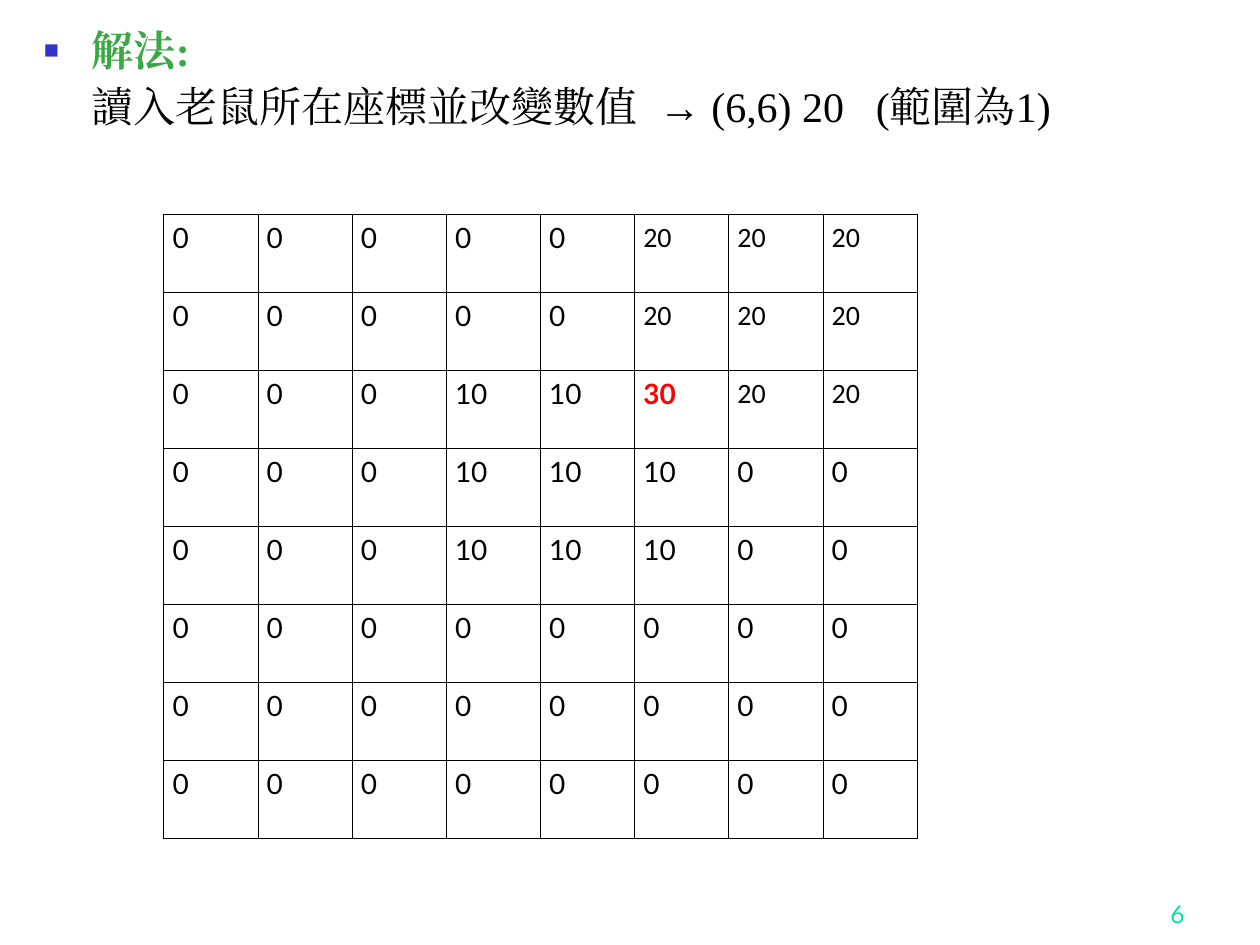
from lxml.etree import SubElement as Sub
from pptx import Presentation
from pptx.dml.color import RGBColor as RGB
from pptx.enum.text import MSO_ANCHOR as ANCHOR, PP_ALIGN as ALIGN
from pptx.oxml.ns import qn
from pptx.util import Pt

COLORS = {
    "heading": "3BA943", "bullet": "3333CC", "text": "000000", "hit": "FF0000",
    "page": "00E4A8", "cell": "FFFFFF", "border": "000000",
}
HEADING = {"size": Pt(24), "name": "Times New Roman", "bold": True}
BODY = {"size": Pt(24), "name": "Times New Roman", "bold": False}
PAGE = {"size": Pt(14), "name": "Lato"}
CELL = {"size": Pt(16), "name": "Lato"}
CELL_BY_VALUE = {
    20: {"size": Pt(16), "name": "Calibri"},
    30: {"size": Pt(16), "name": "Lato", "bold": True},
}

# Text pieces, each with the extra width in points given to its characters
BODY_PIECES = [
    ("讀入老鼠所在座標並改變數值", 0), (" ", 6), ("→ (6,6) 20", 0),
    (" ", 12), ("(範圍為1)", 0),
]

SIZE = 8
RANGE = 1
MICE = [(3, 4, 10), (1, 6, 20)]  # row, column, value
COL_W, ROW_H = 53.82, 44.64
INDENT = 27.36


def add_run(p, text, fmt, color, spacing=0):
    r = p.add_run()
    r.text = text
    for key, value in fmt.items():
        setattr(r.font, key, value)
    r.font.color.rgb = RGB.from_string(COLORS[color])
    rpr = r._r.get_or_add_rPr()
    if spacing:
        rpr.set("spc", str(spacing * 100))
    Sub(rpr, qn("a:ea"), typeface=fmt["name"])


def add_box(s, left, top, width, height, anchor=ANCHOR.TOP):
    tf = s.shapes.add_textbox(Pt(left), Pt(top), Pt(width), Pt(height)).text_frame
    tf.word_wrap = True
    tf.vertical_anchor = anchor
    return tf


def set_indent(p, first_line):
    ppr = p._p.get_or_add_pPr()
    ppr.set("marL", str(Pt(INDENT)))
    ppr.set("indent", str(Pt(first_line)))
    p.line_spacing = 0.9
    return ppr


def add_bullet(ppr):
    Sub(Sub(ppr, qn("a:buClr")), qn("a:srgbClr"), val=COLORS["bullet"])
    Sub(ppr, qn("a:buSzPct"), val="60000")
    Sub(ppr, qn("a:buFont"), typeface="Times New Roman")
    Sub(ppr, qn("a:buChar"), char="■")


def add_solution(s):
    tf = add_box(s, 18, 13.68, 683.28, 501.84)
    p = tf.paragraphs[0]
    add_bullet(set_indent(p, -INDENT))
    add_run(p, "解法:", HEADING, "heading")

    p = tf.add_paragraph()
    set_indent(p, 0)
    p.space_before = Pt(6)
    for text, spacing in BODY_PIECES:
        add_run(p, text, BODY, "text", spacing)


def set_borders(cell):
    tcpr = cell._tc.get_or_add_tcPr()
    for i, side in enumerate(("lnL", "lnR", "lnT", "lnB")):
        ln = tcpr.makeelement(qn(f"a:{side}"), {"w": str(Pt(0.45))})
        Sub(Sub(ln, qn("a:solidFill")), qn("a:srgbClr"), val=COLORS["border"])
        tcpr.insert(i, ln)


def grid_value(row, col):
    """Sum of the values of all mice within range of the cell."""
    return sum(value for r, c, value in MICE
               if max(abs(row - r), abs(col - c)) <= RANGE)


def add_grid(s):
    table = s.shapes.add_table(SIZE, SIZE, Pt(93.6), Pt(122.4),
                               Pt(COL_W * SIZE), Pt(ROW_H * SIZE)).table
    table.first_row = table.horz_banding = False
    for col in table.columns:
        col.width = Pt(COL_W)
    for i, row in enumerate(table.rows):
        row.height = Pt(ROW_H)
        for j, cell in enumerate(row.cells):
            cell.margin_left = cell.margin_right = Pt(5.04)
            cell.margin_top = cell.margin_bottom = Pt(3.6)
            cell.fill.solid()
            cell.fill.fore_color.rgb = RGB.from_string(COLORS["cell"])
            set_borders(cell)
            value = grid_value(i, j)
            add_run(cell.text_frame.paragraphs[0], str(value),
                    CELL_BY_VALUE.get(value, CELL), "hit" if value == 30 else "text")


def add_page_number(s, number):
    p = add_box(s, 534.24, 498.24, 149.76, 36, ANCHOR.BOTTOM).paragraphs[0]
    p.alignment = ALIGN.RIGHT
    add_run(p, number, PAGE, "page")


def main():
    prs = Presentation()
    prs.slide_width, prs.slide_height = Pt(720), Pt(540)
    s = prs.slides.add_slide(prs.slide_layouts[6])
    # Explanation, page number, then the grid of values
    add_solution(s)
    add_page_number(s, "6")
    add_grid(s)
    prs.save("out.pptx")


if __name__ == "__main__":
    main()
